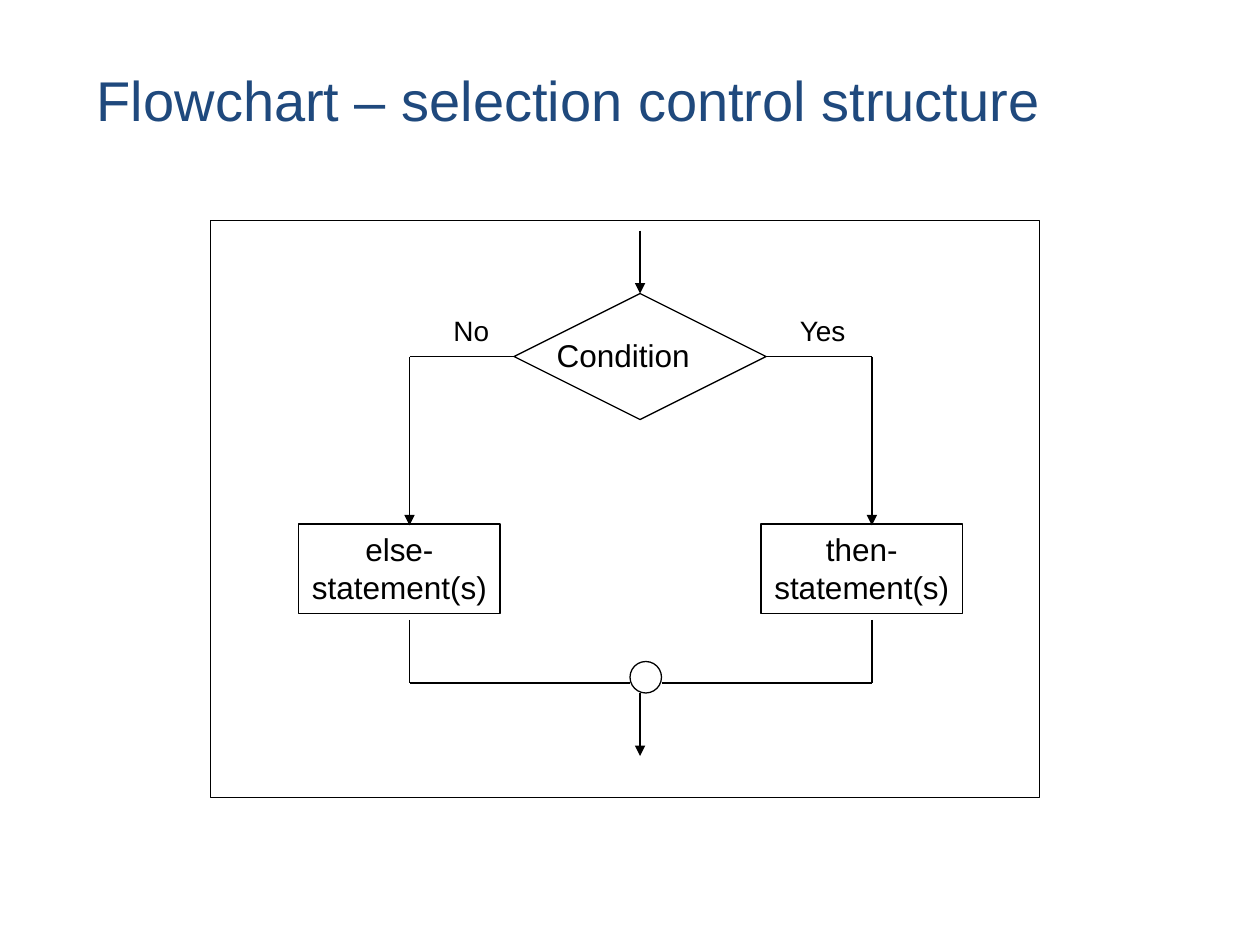
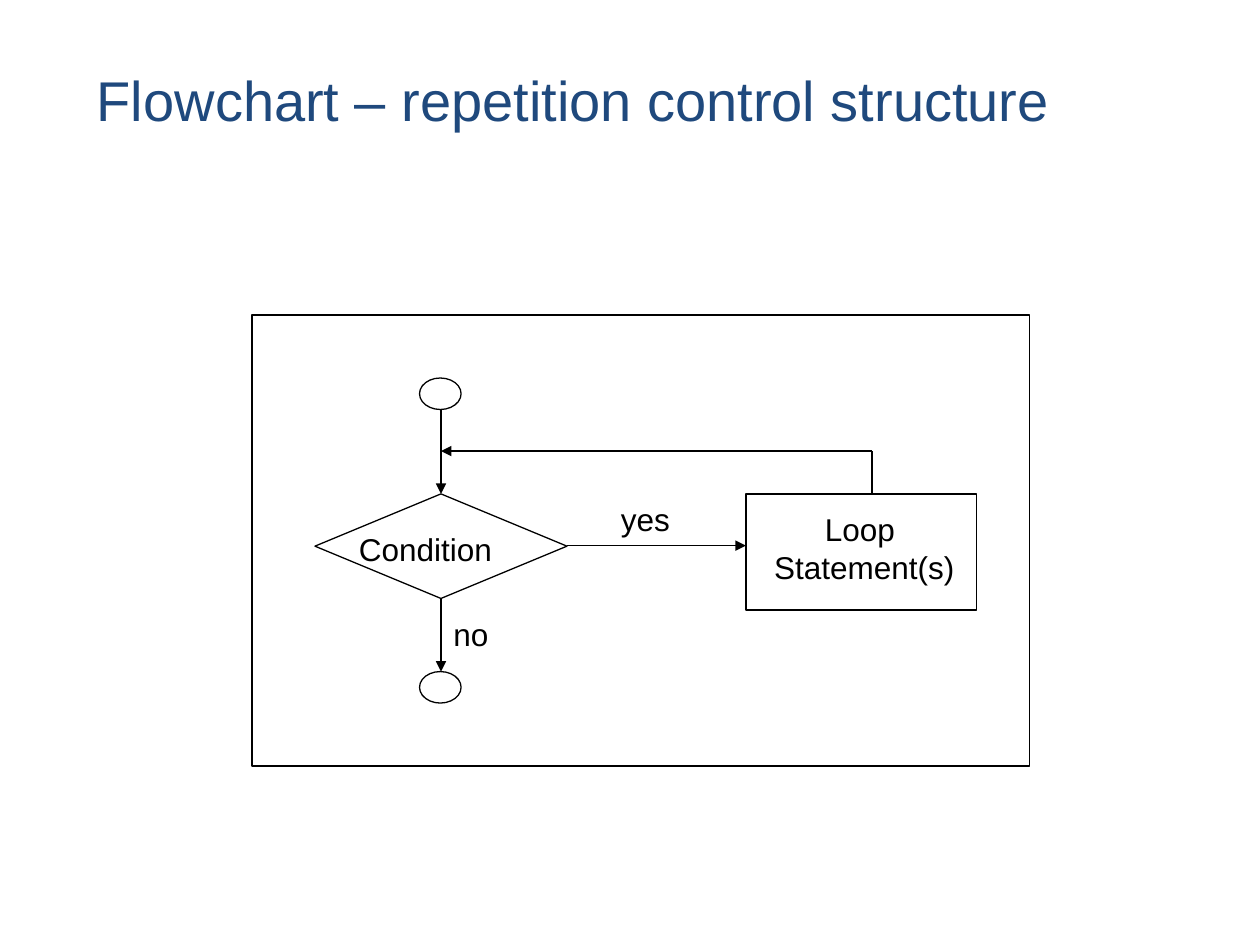
import dataclasses

import lxml.etree
import pptx
import pptx.dml.color
import pptx.enum.shapes
import pptx.enum.text
import pptx.oxml.ns
import pptx.util

Inches = pptx.util.Inches
Shapes = pptx.enum.shapes.MSO_SHAPE
Align = pptx.enum.text.PP_ALIGN


@dataclasses.dataclass(frozen=True)
class Theme:
    font: str = "Arial"
    title_color: str = "1F497D"
    ink: str = "000000"
    title_size: int = 32
    text_size: int = 18
    branch_size: int = 16
    line_width: float = 0.75


@dataclasses.dataclass(frozen=True)
class Box:
    left: float
    top: float
    width: float
    height: float


THEME = Theme()
TITLE_BOX = Box(0.67, 0.25, 8.92, 1.08)


def rgb(color):
    return pptx.dml.color.RGBColor.from_string(color)


def write_text(shape, text, size, color=THEME.ink, align=Align.LEFT, wrap=False):
    frame = shape.text_frame
    frame.text = text
    frame.word_wrap = wrap
    for paragraph in frame.paragraphs:
        paragraph.alignment = align
        for run in paragraph.runs:
            run.font.name = THEME.font
            run.font.size = pptx.util.Pt(size)
            run.font.color.rgb = rgb(color)
    return frame


def set_outline(line):
    line.color.rgb = rgb(THEME.ink)
    line.width = pptx.util.Pt(THEME.line_width)


class Flowchart:
    """Draws flowchart parts at offsets from the corner of a framed box."""

    def __init__(self, slide, box):
        self.shapes = slide.shapes
        self.box = box
        self.node(Shapes.RECTANGLE, 0, 0, box.width, box.height)

    def point(self, x, y):
        return Inches(self.box.left + x), Inches(self.box.top + y)

    def node(self, kind, x, y, width, height, text=""):
        shape = self.shapes.add_shape(
            kind, *self.point(x, y), Inches(width), Inches(height))
        shape.shadow.inherit = False
        shape.fill.background()
        set_outline(shape.line)
        if text:
            frame = write_text(shape, text, THEME.text_size, align=Align.CENTER)
            frame.vertical_anchor = pptx.enum.text.MSO_ANCHOR.TOP
        return shape

    def label(self, text, x, y, width, height=0.4, size=THEME.text_size, **style):
        shape = self.shapes.add_textbox(
            *self.point(x, y), Inches(width), Inches(height))
        write_text(shape, text, size, **style)

    def path_through(self, *points, arrow=False):
        """Join points with straight lines; an arrow goes on the last one."""
        for start, end in zip(points, points[1:]):
            connector = self.shapes.add_connector(
                pptx.enum.shapes.MSO_CONNECTOR.STRAIGHT,
                *self.point(*start), *self.point(*end))
            set_outline(connector.line)
            properties = connector._element.spPr
            lxml.etree.SubElement(properties, pptx.oxml.ns.qn("a:effectLst"))
            if arrow and end == points[-1]:
                lxml.etree.SubElement(
                    connector.line._get_or_add_ln(),
                    pptx.oxml.ns.qn("a:tailEnd"), type="triangle")


def add_title(slide, text, box):
    shape = slide.shapes.add_textbox(
        Inches(box.left), Inches(box.top), Inches(box.width), Inches(box.height))
    frame = write_text(shape, text, THEME.title_size, THEME.title_color, wrap=True)
    frame.vertical_anchor = pptx.enum.text.MSO_ANCHOR.MIDDLE


def draw_selection(slide, box):
    chart = Flowchart(slide, box)
    axis, condition_y, merge_y = 3.41, 1.08, 3.67

    # Entry and condition
    chart.path_through((axis, 0.08), (axis, 0.58), arrow=True)
    chart.label("Condition", axis - 0.76, 0.87, 1.26)
    chart.node(Shapes.FLOWCHART_DECISION, axis - 1, condition_y - 0.5, 2, 1)

    # Merge point and exit
    merge_left, merge_size = 3.33, 0.25
    chart.node(Shapes.FLOWCHART_CONNECTOR, merge_left, 3.5, merge_size, merge_size)
    chart.path_through((axis, 3.75), (axis, 4.25), arrow=True)

    # Branches: statement, branch axis, diamond corner, merge side, answer
    branches = (
        ("else-\nstatement(s)", 1.58, axis - 1, merge_left, "No", 1.83, 0.48),
        ("then-\nstatement(s)", 5.25, axis + 1, merge_left + merge_size,
         "Yes", 4.58, 0.58),
    )
    for statement, x, corner, merge_x, answer, answer_x, answer_width in branches:
        chart.node(Shapes.RECTANGLE, x - 0.88, 2.41, 1.6, 0.71, statement)
        chart.path_through(
            (corner, condition_y), (x, condition_y), (x, 2.42), arrow=True)
        chart.path_through((x, 3.17), (x, merge_y), (merge_x, merge_y))
        chart.label(answer, answer_x, 0.69, answer_width, 0.37, THEME.branch_size)


def draw_repetition(slide, box):
    chart = Flowchart(slide, box)
    axis, loop_x, return_y = 1.5, 4.92, 1.08
    condition_top, condition_y, condition_bottom = 1.42, 1.83, 2.25
    loop_left, exit_y = 3.92, 2.83

    # Start and end points
    for y in (0.5, exit_y):
        chart.node(Shapes.OVAL, axis - 0.17, y, 0.33, 0.25)

    # Condition
    chart.label("Condition", 0.75, 1.66, 1.26)
    chart.node(Shapes.FLOWCHART_DECISION, axis - 1, condition_top, 2, 0.83)
    chart.path_through((axis, 0.75), (axis, condition_top), arrow=True)

    # Loop body and the way back
    chart.node(Shapes.FLOWCHART_PROCESS, loop_left, condition_top, 1.83, 0.92)
    chart.label("Loop \nStatement(s)", loop_left, 1.5, 1.88, 0.7,
                align=Align.CENTER, wrap=True)
    chart.path_through(
        (axis + 1, condition_y), (loop_left, condition_y), arrow=True)
    chart.path_through((loop_x, condition_top), (loop_x, return_y),
                       (axis, return_y), arrow=True)

    # Exit and answers
    chart.path_through((axis, condition_bottom), (axis, exit_y), arrow=True)
    chart.label("yes", 2.83, condition_top, 0.75, wrap=True)
    chart.label("no", axis, 2.33, 0.75, wrap=True)


def main():
    presentation = pptx.Presentation()
    presentation.slide_width = Inches(10)
    presentation.slide_height = Inches(7.5)
    pages = (
        ("selection", draw_selection, Box(1.67, 1.75, 6.58, 4.58)),
        ("repetition", draw_repetition, Box(2, 2.5, 6.17, 3.58)),
    )
    for name, draw_chart, box in pages:
        slide = presentation.slides.add_slide(presentation.slide_layouts[6])
        add_title(slide, f"Flowchart – {name} control structure", TITLE_BOX)
        draw_chart(slide, box)
    presentation.save("out.pptx")


if __name__ == "__main__":
    main()
